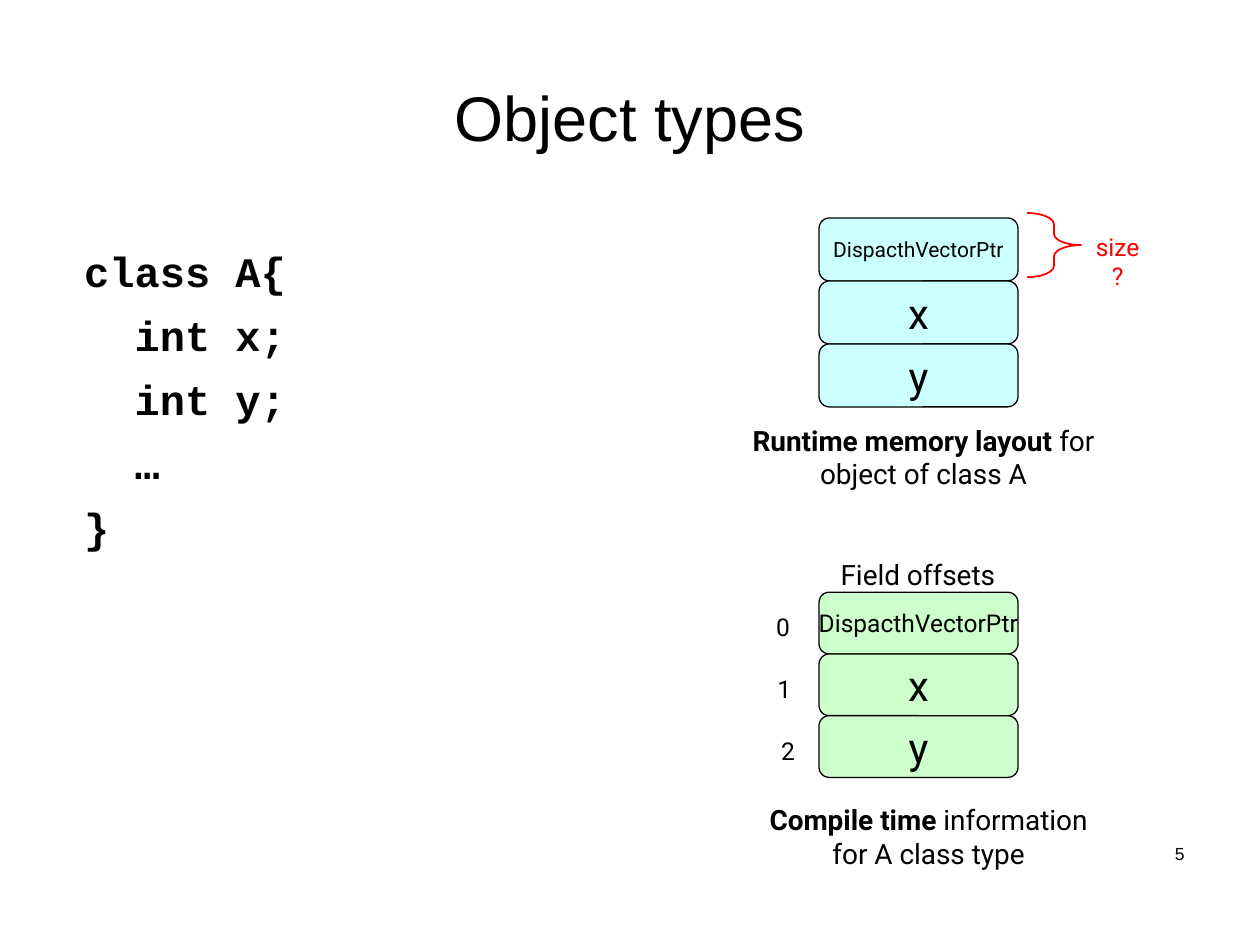
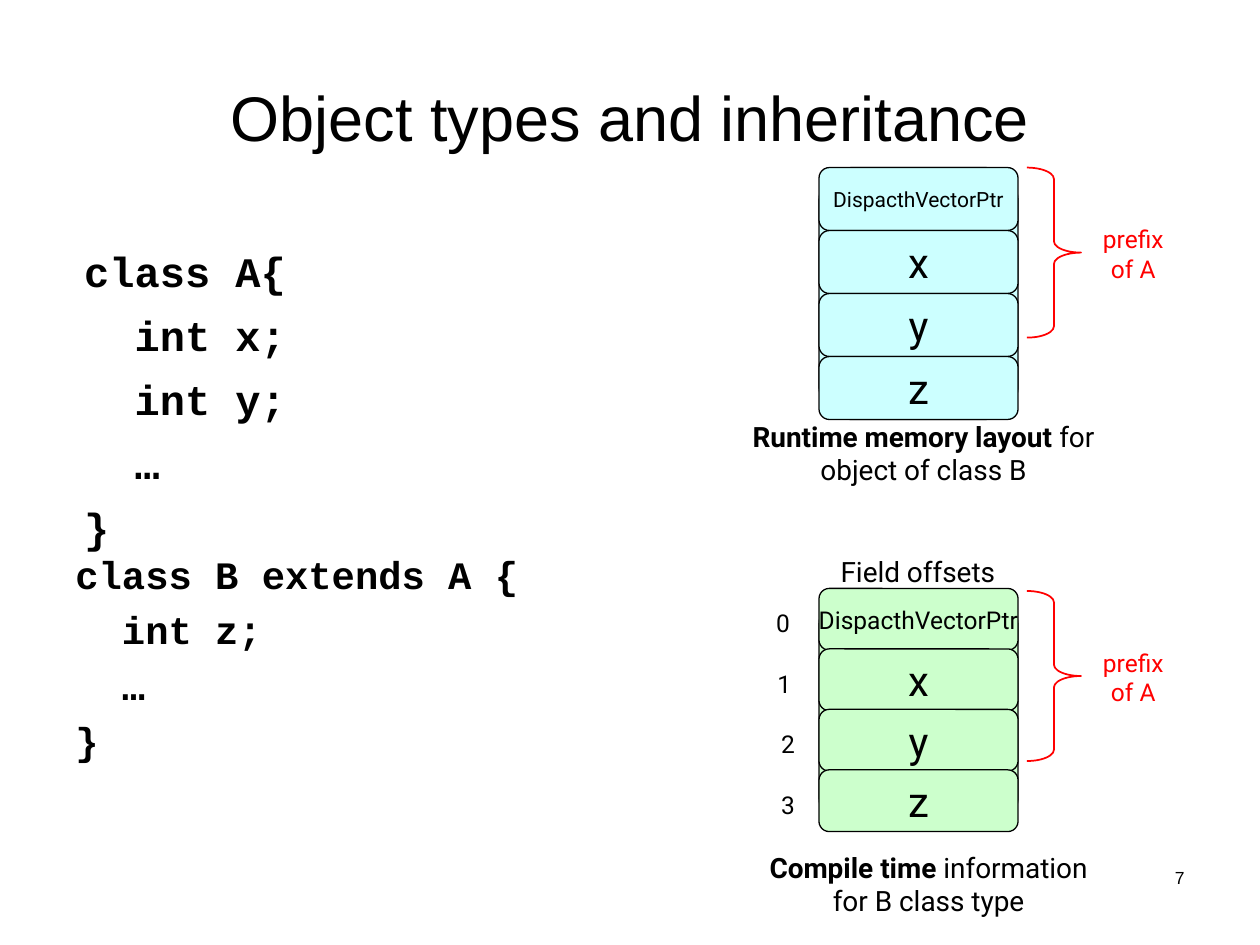
"""Builds two slides on the memory layout of object types."""
from pptx import Presentation
from pptx.dml.color import RGBColor as RGB
from pptx.enum.shapes import MSO_SHAPE as SHAPE
from pptx.enum.text import MSO_ANCHOR as ANCHOR, PP_ALIGN as ALIGN
from pptx.util import Inches, Pt

INK = {"black": "000000", "red": "FF0000", "run": "CCFFFF", "comp": "CCFFCC"}
LEFT, WIDE = 6.5, 1.58
CODE_A = ["class A{", "  int x;", "  int y;", "  …", "}"]
CODE_B = ["class B extends A {", "  int z;", "  …", "}"]
PAGES = [
    dict(title="Object types", name="A", num="5", foot=6.64,
         cells=["DispacthVectorPtr", "x", "y"],
         codes=[(CODE_A, 0.57, 1.9, 4.68, 2.85, 24, 1)],
         run=1.73, comp=4.7, step=0.49, caps=(3.31, 6.32, 4.38), backs=[],
         braces=[(1.69, 0.51)], notes=[("size ?", 8.57, 1.79, 0.6, True)]),
    dict(title="Object types and inheritance", name="B", num="7", foot=6.83,
         cells=["DispacthVectorPtr", "x", "y", "z"],
         codes=[(CODE_A, 0.57, 1.9, 4.68, 2.85, 24, 1),
                (CODE_B, 0.5, 4.36, 4.11, 1.92, 22.2, 0.9)],
         run=1.33, comp=4.67, step=0.48, caps=(3.28, 6.7, 4.35),
         backs=[("run", 1.33, 2), ("comp", 4.7, 1.89)],
         braces=[(1.33, 1.35), (4.69, 1.35)],
         notes=[("prefix\vof A", 8.63, y, 0.73, False) for y in (1.73, 5.09)]),
]


def write(shape, text, size, font="Roboto", ink="black", align=ALIGN.CENTER, wrap=True, lead=""):
    """Fill a shape with one styled paragraph, with an optional bold lead."""
    shape.text_frame.word_wrap = wrap
    para = shape.text_frame.paragraphs[0]
    if lead:
        run = para.add_run()
        run.text = lead
        run.font.bold = True
        for i, line in enumerate(text.split("\v")):
            if i:
                para.add_line_break()
            para.add_run().text = line
    else:
        para.text = text
    para.alignment = align
    para.font.size, para.font.name = Pt(size), font
    para.font.color.rgb = RGB.from_string(INK[ink])


def draw(slide, kind, x, y, w, h, adj, line, width, fill=None):
    """Add a flat outlined shape."""
    shape = slide.shapes.add_shape(kind, Inches(x), Inches(y), Inches(w), Inches(h))
    shape.shadow.inherit = False
    shape.adjustments[0] = adj
    shape.line.color.rgb = RGB.from_string(INK[line])
    shape.line.width = Pt(width)
    if fill:
        shape.fill.solid()
        shape.fill.fore_color.rgb = RGB.from_string(INK[fill])
    else:
        shape.fill.background()
    return shape


deck = Presentation()
deck.slide_width, deck.slide_height = Inches(10), Inches(7.5)

for page in PAGES:
    slide = deck.slides.add_slide(deck.slide_layouts[5])
    title = slide.shapes.title
    title.left, title.top = Inches(0.5), Inches(0.3)
    title.width, title.height = Inches(9), Inches(1.25)
    title.text_frame.vertical_anchor = ANCHOR.MIDDLE
    write(title, page["title"], 36, "Arial")

    for lines, x, y, w, h, size, space in page["codes"]:
        frame = slide.shapes.add_textbox(Inches(x), Inches(y), Inches(w), Inches(h)).text_frame
        frame.word_wrap = True
        for i, line in enumerate(lines):
            para = frame.add_paragraph() if i else frame.paragraphs[0]
            para.text = line
            para.line_spacing = space
            if i:
                para.space_before = Pt(7.8)
            para.font.name, para.font.size, para.font.bold = "Courier New", Pt(size), True
            para.font.color.rgb = RGB.from_string(INK["black"])

    for fill, y, h in page["backs"]:
        draw(slide, SHAPE.ROUNDED_RECTANGLE, LEFT, y, WIDE, h, 0.167, "black", 0.75, fill)

    for fill, step, h, first in (("run", 0.5, 0.5, 12), ("comp", page["step"], 0.49, 14)):
        for i, cell in enumerate(page["cells"]):
            y = page[fill] + i * step
            box = draw(slide, SHAPE.ROUNDED_RECTANGLE, LEFT, y, WIDE, h, 0.167, "black", 0.75, fill)
            box.text_frame.vertical_anchor = ANCHOR.MIDDLE
            write(box, cell, 24 if i else first, wrap=False)

    for i, x in zip(range(len(page["cells"])), (6.06, 6.07, 6.1, 6.1)):
        y = page["comp"] + i * page["step"] + 0.11
        mark = slide.shapes.add_textbox(Inches(x), Inches(y), Inches(0.31), Inches(0.34))
        write(mark, str(i), 14, wrap=False)

    run, comp, field = page["caps"]
    name = page["name"]
    for lead, text, x, y, w, h in (
            ("Runtime memory layout", f" for object of class {name}", 5.58, run, 3.5, 0.64),
            ("Compile time", f" information\vfor {name} class type", 5.33, comp, 4.08, 0.64),
            ("", "Field offsets", LEFT, field, 1.57, 0.37)):
        cap = slide.shapes.add_textbox(Inches(x), Inches(y), Inches(w), Inches(h))
        write(cap, text, 16, lead=lead)

    for y, h in page["braces"]:
        draw(slide, SHAPE.RIGHT_BRACE, 8.15, y, 0.43, h, 0.21, "red", 1)
    for text, x, y, w, wrap in page["notes"]:
        note = slide.shapes.add_textbox(Inches(x), Inches(y), Inches(w), Inches(0.57))
        write(note, text, 14, ink="red", wrap=wrap)

    foot = slide.shapes.add_textbox(Inches(7.17), Inches(page["foot"]), Inches(2.33), Inches(0.5))
    write(foot, page["num"], 10, "Arial", align=ALIGN.RIGHT)

deck.save("out.pptx")
